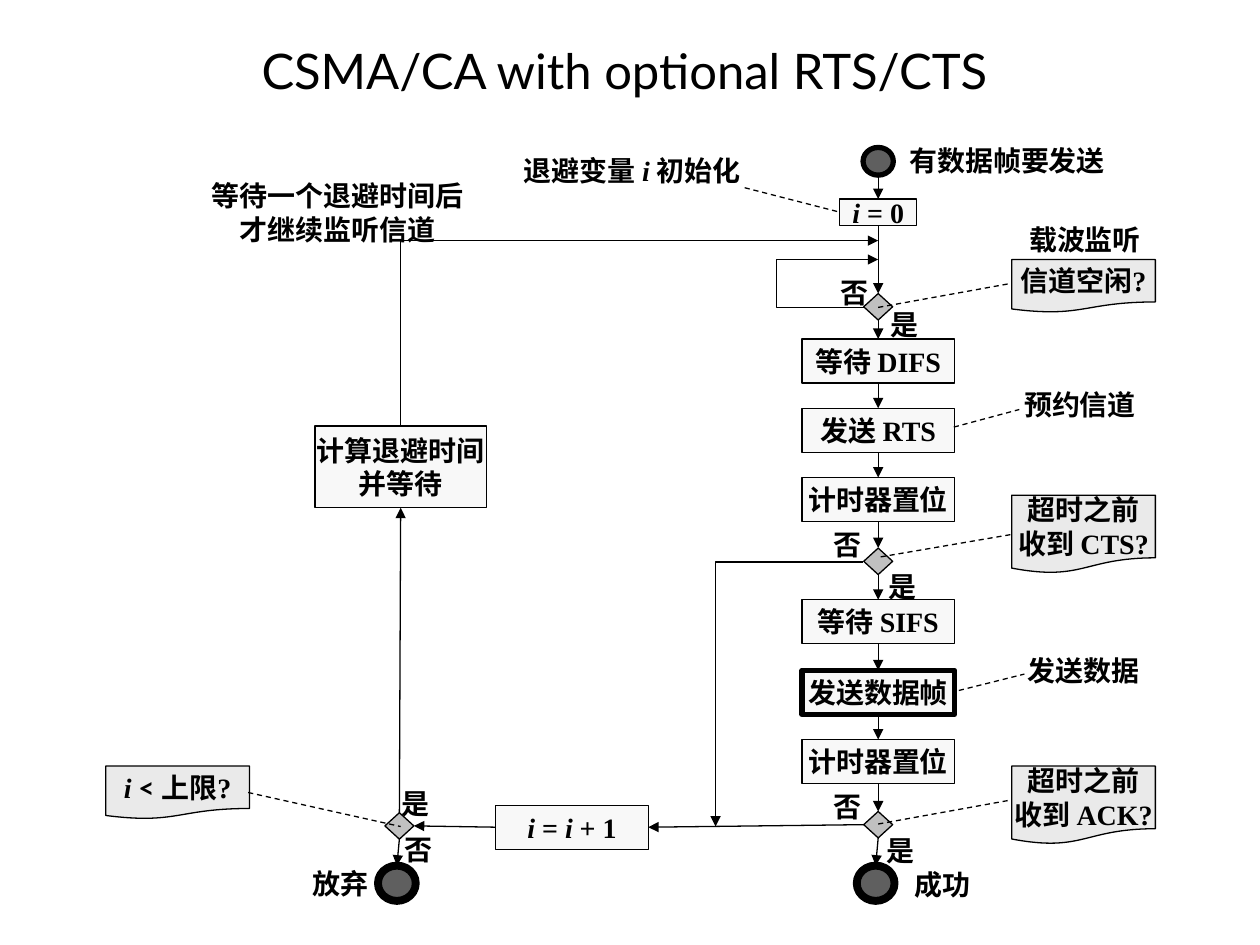
from lxml.etree import SubElement
from pptx import Presentation
from pptx.dml.color import RGBColor
from pptx.enum.dml import MSO_LINE
from pptx.enum.shapes import MSO_CONNECTOR, MSO_SHAPE
from pptx.enum.text import MSO_ANCHOR, PP_ALIGN
from pptx.oxml.ns import qn
from pptx.util import Inches, Pt

BLACK = RGBColor(0, 0, 0)
PALE = RGBColor(0xF8, 0xF8, 0xF8)
LIGHT = RGBColor(0xEA, 0xEA, 0xEA)
SILVER = RGBColor(0xC0, 0xC0, 0xC0)
DARK = RGBColor(0x5F, 0x5F, 0x5F)
SANS, SERIF = "Lato", "Times New Roman"
MID = 6.97  # centre of the main column
BACK = 3.18  # centre of the back-off column


def write(frame, lines, face, size=16, bold=True, align=PP_ALIGN.CENTER):
    """Fill a frame; a line is a string or a list of (text, face, italic) runs."""
    for i, line in enumerate(lines):
        para = frame.paragraphs[0] if i == 0 else frame.add_paragraph()
        para.alignment = align
        para.font.size, para.font.bold = Pt(size), bold
        para.font.color.rgb = BLACK
        if isinstance(line, str):
            para.font.name = face
            para.add_run().text = line
            continue
        for text, name, slant in line:
            run = para.add_run()
            run.text = text
            run.font.name, run.font.italic = name, slant


def label(slide, x, y, w, h, *lines, align=PP_ALIGN.LEFT, **style):
    frame = slide.shapes.add_textbox(
        Inches(x), Inches(y), Inches(w), Inches(h)).text_frame
    frame.word_wrap = True
    write(frame, lines, SANS, align=align, **style)
    return frame


def node(slide, kind, x, y, w, h, fill, lines=(), face=SERIF, width=0.75):
    """Add a flowchart symbol centred on x, with its top at y."""
    shape = slide.shapes.add_shape(
        kind, Inches(x - w / 2), Inches(y), Inches(w), Inches(h))
    shape.shadow.inherit = False
    shape.fill.solid()
    shape.fill.fore_color.rgb = fill
    shape.line.color.rgb = BLACK
    shape.line.width = Pt(width)
    frame = shape.text_frame
    frame.word_wrap = False
    frame.vertical_anchor = MSO_ANCHOR.MIDDLE
    write(frame, lines, face)
    return shape


def step(slide, x, y, *lines, w=1.21, h=0.35, width=0.75):
    return node(slide, MSO_SHAPE.FLOWCHART_PROCESS, x, y, w, h, PALE, lines,
                width=width)


def choice(slide, x, y):
    return node(slide, MSO_SHAPE.FLOWCHART_DECISION, x, y, 0.23, 0.21, SILVER)


def dot(slide, x, y, w, h, width):
    return node(slide, MSO_SHAPE.OVAL, x, y, w, h, DARK, width=width)


def note(slide, x, y, h, *lines):
    node(slide, MSO_SHAPE.FLOWCHART_DOCUMENT, x, y, 1.14, h, LIGHT, lines, SANS)


def wire(slide, start, end, tip="tailEnd", kind=MSO_CONNECTOR.STRAIGHT):
    """Add a connector; tip names the arrowhead element, or is None."""
    line = slide.shapes.add_connector(kind, *map(Inches, start + end))
    line.line.color.rgb = BLACK
    line.line.width = Pt(0.75)
    props = line._element.spPr
    if tip:
        SubElement(props.find(qn("a:ln")), qn("a:" + tip), type="triangle")
    SubElement(props, qn("a:effectLst"))
    return line


def dash(slide, start, end):
    wire(slide, start, end, None).line.dash_style = MSO_LINE.DASH


def link(slide, source, target, out=2, into=0):
    line = wire(slide, (0, 0), (1, 1))
    line.begin_connect(source, out)
    line.end_connect(target, into)


def bend(slide, start, end, preset, tip="tailEnd", **guides):
    line = wire(slide, start, end, tip, MSO_CONNECTOR.ELBOW)
    geom = line._element.spPr.find(qn("a:prstGeom"))
    geom.set("prst", preset)
    values = geom.find(qn("a:avLst"))
    for name, value in guides.items():
        SubElement(values, qn("a:gd"), name=name, fmla=f"val {value}")


def draw_main(slide):
    """Draw the sending column and return its last decision."""
    dot(slide, MID, 1.17, 0.24, 0.22, 3)
    chain = [
        step(slide, MID, 1.58, [("i ", SERIF, True), ("= 0", SERIF, False)],
             w=0.61, h=0.21),
        choice(slide, MID, 2.33),
        step(slide, MID, 2.69, "等待 DIFS"),
        step(slide, MID, 3.24, "发送 RTS"),
        step(slide, MID, 3.79, "计时器置位"),
        choice(slide, MID, 4.35),
        step(slide, MID, 4.76, "等待 SIFS"),
        step(slide, MID, 5.32, "发送数据帧", width=3),
        step(slide, MID, 5.87, "计时器置位"),
        choice(slide, MID, 6.44),
        dot(slide, 6.95, 6.87, 0.3, 0.28, 4.5),
    ]
    wire(slide, (MID, 1.37), (MID, 1.58))
    for source, target in zip(chain, chain[1:]):
        link(slide, source, target)
    bend(slide, (6.86, 2.44), (MID, 2.06), "bentConnector4",
         adj1=-632800, adj2=100000)
    bend(slide, (6.85, 4.46), (5.68, 6.56), "bentConnector2")
    return chain[-2]


def draw_retry(slide, failed):
    """Draw the back-off branch that starts at the failed decision."""
    count = step(slide, 4.54, 6.39, [
        ("i ", SERIF, True), ("= ", SERIF, False),
        ("i", SERIF, True), (" + 1", SERIF, False)])
    limit = choice(slide, 3.17, 6.45)
    stop = dot(slide, 3.15, 6.87, 0.3, 0.28, 4.5)
    delay = step(slide, BACK, 3.38, "计算退避时间", "并等待", w=1.36, h=0.65)
    link(slide, failed, count, 1, 3)
    link(slide, count, limit, 1, 3)
    link(slide, limit, stop)
    link(slide, limit, delay, 0, 2)
    bend(slide, (MID, 1.91), (BACK, 3.38), "bentConnector2", "headEnd")


def draw_notes(slide):
    note(slide, 8.6, 2.06, 0.42,
         [("信道空闲", SANS, False), ("?", SERIF, False)])
    for y, reply in ((3.93, "CTS?"), (6.08, "ACK?")):
        note(slide, 8.6, y, 0.62, "超时之前",
             [("收到 ", SANS, False), (reply, SERIF, False)])
    note(slide, 1.41, 6.08, 0.42, [
        ("i", SERIF, True), (" < 上限", SANS, False), ("?", SERIF, False)])
    for start, end in (
            ((1.97, 6.29), (BACK, 6.56)), ((MID, 2.44), (8.02, 2.25)),
            ((6.99, 4.42), (8.04, 4.24)), ((MID, 6.54), (8.02, 6.35)),
            ((5.91, 1.49), (6.65, 1.68)), ((7.57, 3.39), (8.09, 3.25)),
            ((7.61, 5.48), (8.13, 5.35))):
        dash(slide, start, end)


def draw_labels(slide):
    for text, spots in (
            ("是", ((6.97, 2.39), (6.94, 6.57), (6.95, 4.47), (3.09, 6.19))),
            ("否", ((6.57, 2.14), (6.52, 4.14), (6.52, 6.22), (3.11, 6.56)))):
        for x, y in spots:
            label(slide, x, y, 0.41, 0.37, text)
    for x, y, w, text in (
            (7.12, 1.09, 1.82, "有数据帧要发送"), (7.16, 6.84, 0.76, "成功"),
            (2.38, 6.83, 0.76, "放弃"), (8.07, 1.72, 1.44, "载波监听"),
            (8.03, 3.03, 1.44, "预约信道"), (8.06, 5.14, 1.44, "发送数据")):
        label(slide, x, y, w, 0.37, text)
    label(slide, 4.06, 1.17, 2.08, 0.37, [
        ("退避变量 ", SANS, False), ("i ", SERIF, True), ("初始化", SANS, False)])
    label(slide, 1.41, 1.37, 2.54, 0.64, "等待一个退避时间后", "才继续监听信道",
          align=PP_ALIGN.CENTER)


def main():
    deck = Presentation()
    deck.slide_width, deck.slide_height = Inches(10), Inches(7.5)
    slide = deck.slides.add_slide(deck.slide_layouts[6])
    title = label(slide, 0.27, 0.21, 9.37, 0.69, "CSMA/CA with optional RTS/CTS",
                  align=PP_ALIGN.CENTER, size=28, bold=False)
    title.vertical_anchor = MSO_ANCHOR.MIDDLE
    failed = draw_main(slide)
    draw_retry(slide, failed)
    draw_notes(slide)
    draw_labels(slide)
    deck.save("out.pptx")


if __name__ == "__main__":
    main()
